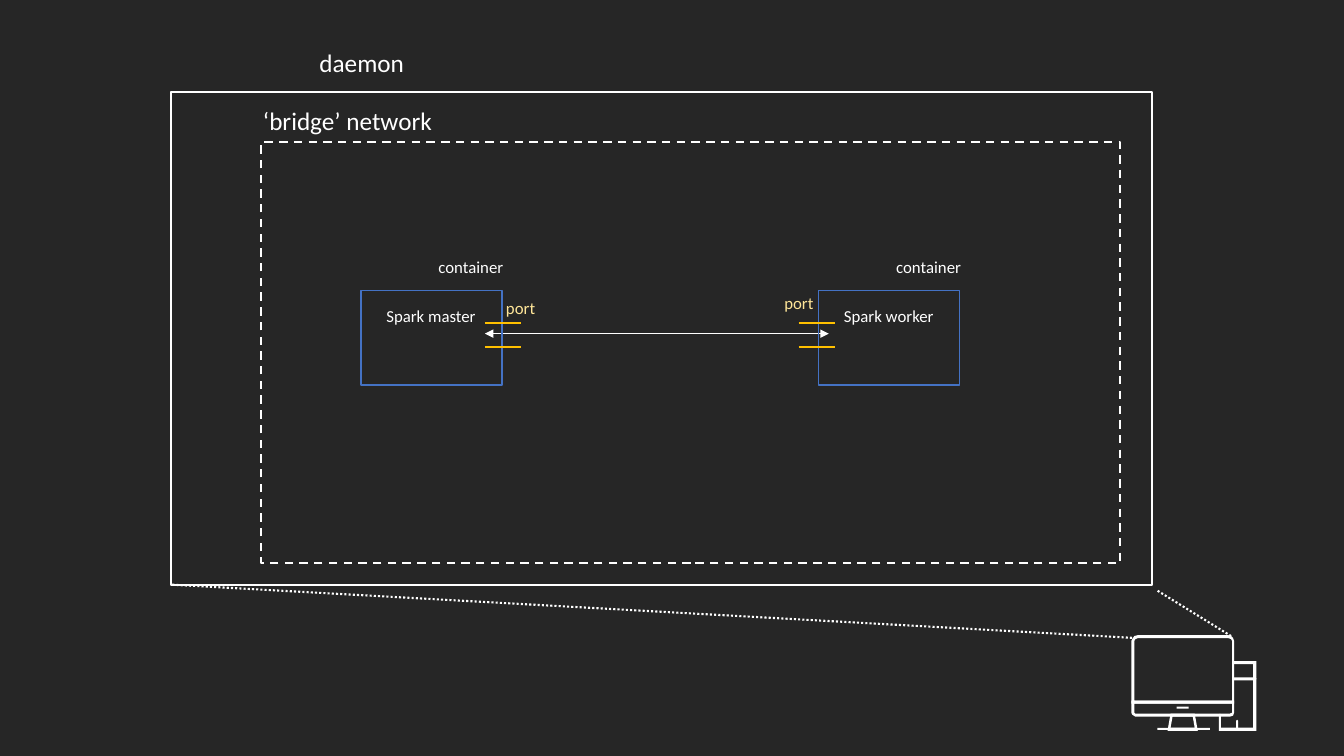
from lxml.etree import SubElement
from pptx import Presentation
from pptx.dml.color import RGBColor
from pptx.enum.dml import MSO_LINE
from pptx.enum.shapes import MSO_CONNECTOR, MSO_SHAPE
from pptx.enum.text import MSO_AUTO_SIZE, PP_ALIGN
from pptx.oxml.ns import qn
from pptx.util import Pt

PX = 9144  # 100 px to the inch
WHITE, BLUE, AMBER, CREAM = "FFFFFF", "4472C4", "FFC000", "FFE699"

rgb = RGBColor.from_string
prs = Presentation()
prs.slide_width, prs.slide_height = 1333 * PX, 750 * PX
slide = prs.slides.add_slide(prs.slide_layouts[6])
slide.background.fill.solid()
slide.background.fill.fore_color.rgb = rgb("262626")
shapes = slide.shapes


def add_line(start, end, color, width, dash=None):
    ends = [v * PX for v in (*start, *end)]
    connector = shapes.add_connector(MSO_CONNECTOR.STRAIGHT, *ends)
    connector.line.color.rgb = rgb(color)
    connector.line.width = Pt(width)
    if dash:
        connector.line.dash_style = dash
    SubElement(connector._element.spPr, qn("a:effectLst"))
    return connector


def add_label(text, box, size, color=WHITE, wrap=True):
    label = shapes.add_textbox(*[v * PX for v in box])
    frame = label.text_frame
    frame.text = text
    frame.word_wrap = wrap
    frame.auto_size = MSO_AUTO_SIZE.SHAPE_TO_FIT_TEXT
    font = frame.paragraphs[0].runs[0].font
    font.name, font.size, font.color.rgb = "Calibri", Pt(size), rgb(color)
    return frame


# Traffic between the two containers
traffic = add_line((481, 331), (822, 331), WHITE, 0.75)
for end_tag in ("a:headEnd", "a:tailEnd"):
    SubElement(traffic.line._ln, qn(end_tag), type="triangle")

# Host computer: each part is an outline, with a cut-out where it is hollow
computer_parts = [
    # screen
    [[(1224, 698), (1122, 698), (1122, 636), (1123, 634), (1125, 631), (1129, 630),
      (1218, 630), (1221, 631), (1223, 633), (1224, 636)],
     [(1125, 695), (1222, 695), (1222, 636), (1221, 634), (1218, 633), (1129, 633),
      (1126, 634), (1125, 636)]],
    # chin
    [[(1220, 711), (1126, 711), (1123, 709), (1122, 707), (1122, 695), (1224, 695),
      (1224, 707), (1223, 710)],
     [(1125, 698), (1125, 707), (1126, 708), (1220, 708), (1222, 707), (1222, 698)]],
    # stand
    [[(1188, 725), (1158, 725), (1161, 708), (1185, 708)],
     [(1161, 722), (1185, 722), (1183, 711), (1163, 711)]],
    # tower
    [[(1246, 725), (1209, 725), (1209, 709), (1210, 708), (1211, 709), (1211, 722),
      (1243, 722), (1243, 659), (1223, 659), (1222, 657), (1223, 656), (1246, 656)]],
    # drive bay
    [[(1244, 675), (1223, 675), (1222, 674), (1222, 673), (1223, 672), (1244, 672),
      (1246, 673), (1246, 674)]],
    # power button
    [[(1227, 725), (1226, 724), (1226, 715), (1227, 714), (1228, 715), (1228, 724)]],
]
computer = []
for outline, *cutouts in computer_parts:
    builder = shapes.build_freeform(*outline[0], scale=PX)
    builder.add_line_segments(outline[1:], close=True)
    for cutout in cutouts:
        builder.move_to(*cutout[0])
        builder.add_line_segments(cutout[1:], close=True)
    computer.append(builder.convert_to_shape())
for bar in [(1167, 701, 12, 2), (1148, 722, 52, 2)]:
    computer.append(shapes.add_shape(MSO_SHAPE.RECTANGLE, *[v * PX for v in bar]))
for part in computer:
    part.shadow.inherit = False
    part.fill.solid()
    part.fill.fore_color.rgb = rgb(WHITE)
    part.line.fill.background()

# Zoom lines from the computer to the daemon
add_line((1221, 631), (1148, 586), WHITE, 1.5, MSO_LINE.ROUND_DOT)
add_line((1127, 633), (170, 580), WHITE, 1.5, MSO_LINE.ROUND_DOT)

# Nested frames: daemon, network, containers
frames = [
    ((170, 91, 973, 489), WHITE, 1.5, None),
    ((259, 141, 852, 418), WHITE, 1.5, MSO_LINE.DASH),
    ((812, 288, 140, 94), BLUE, 1, None),
    ((358, 288, 140, 94), BLUE, 1, None),
]
for box, color, width, dash in frames:
    frame = shapes.add_shape(MSO_SHAPE.RECTANGLE, *[v * PX for v in box])
    frame.shadow.inherit = False
    frame.fill.background()
    frame.line.color.rgb = rgb(color)
    frame.line.width = Pt(width)
    if dash:
        frame.line.dash_style = dash

add_label("daemon", (307, 42, 115, 40), 18)
add_label("‘bridge’ network", (251, 100, 202, 40), 18)

for role, left in [("Spark worker", 812), ("Spark master", 358)]:
    role_frame = add_label(role, (left + 20, 302, 99, 21), 12)
    role_frame.margin_left = role_frame.margin_right = role_frame.margin_bottom = 0
    role_frame.margin_top = 4 * PX
    paragraph = role_frame.paragraphs[0]
    paragraph.alignment = PP_ALIGN.CENTER
    paragraph.line_spacing = 0.85
    paragraph.space_after = Pt(6)
    add_label("container", (left + 67, 250, 99, 30), 12)

# Ports: a pair of rails across the container's side
for rail_left, label_left, label_top in [(481, 492, 290), (792, 768, 286)]:
    for y in (344, 320):
        add_line((rail_left, y), (rail_left + 36, y), AMBER, 1.5)
    add_label("port", (label_left, label_top, 49, 30), 12, CREAM, wrap=False)

prs.save("out.pptx")
